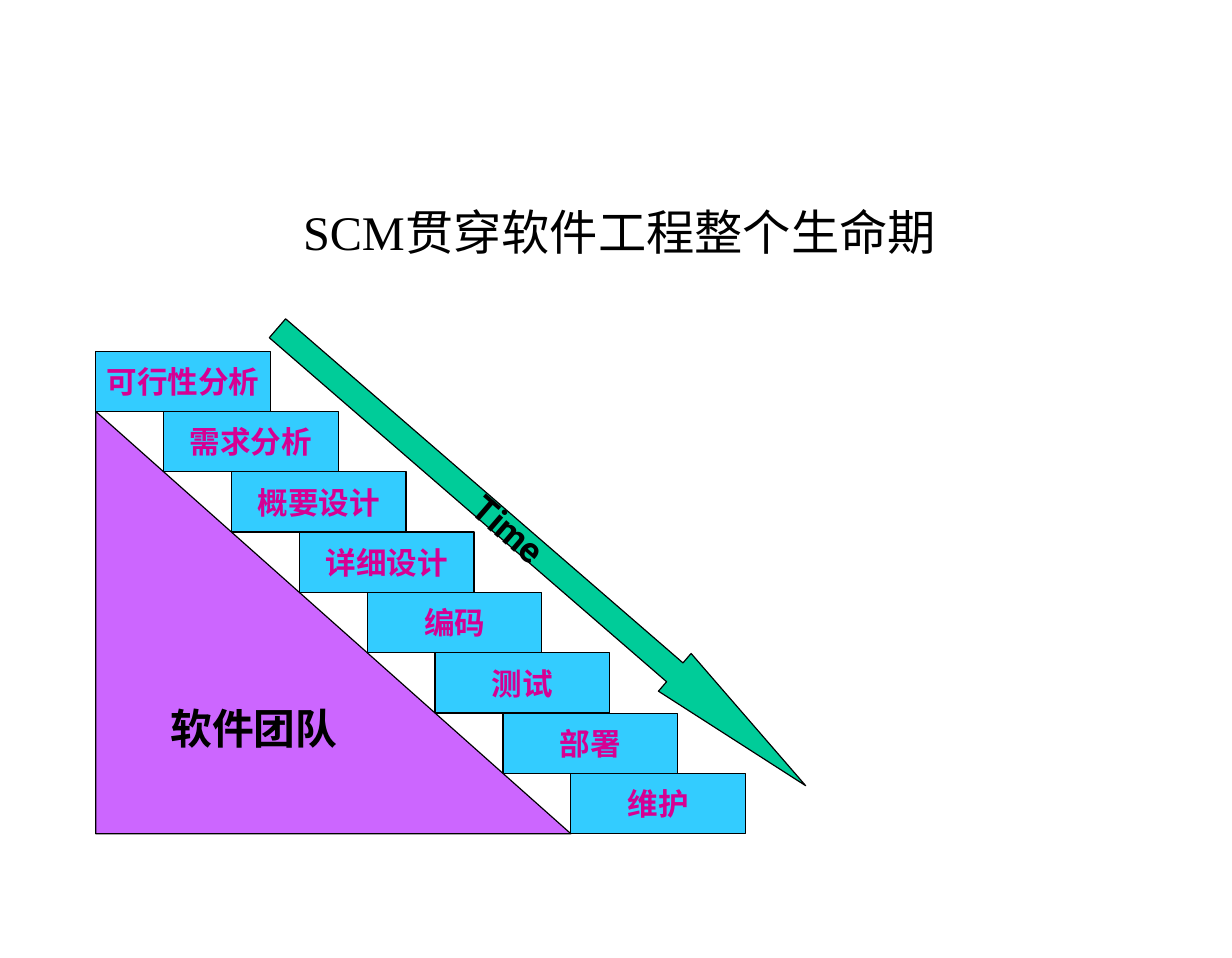
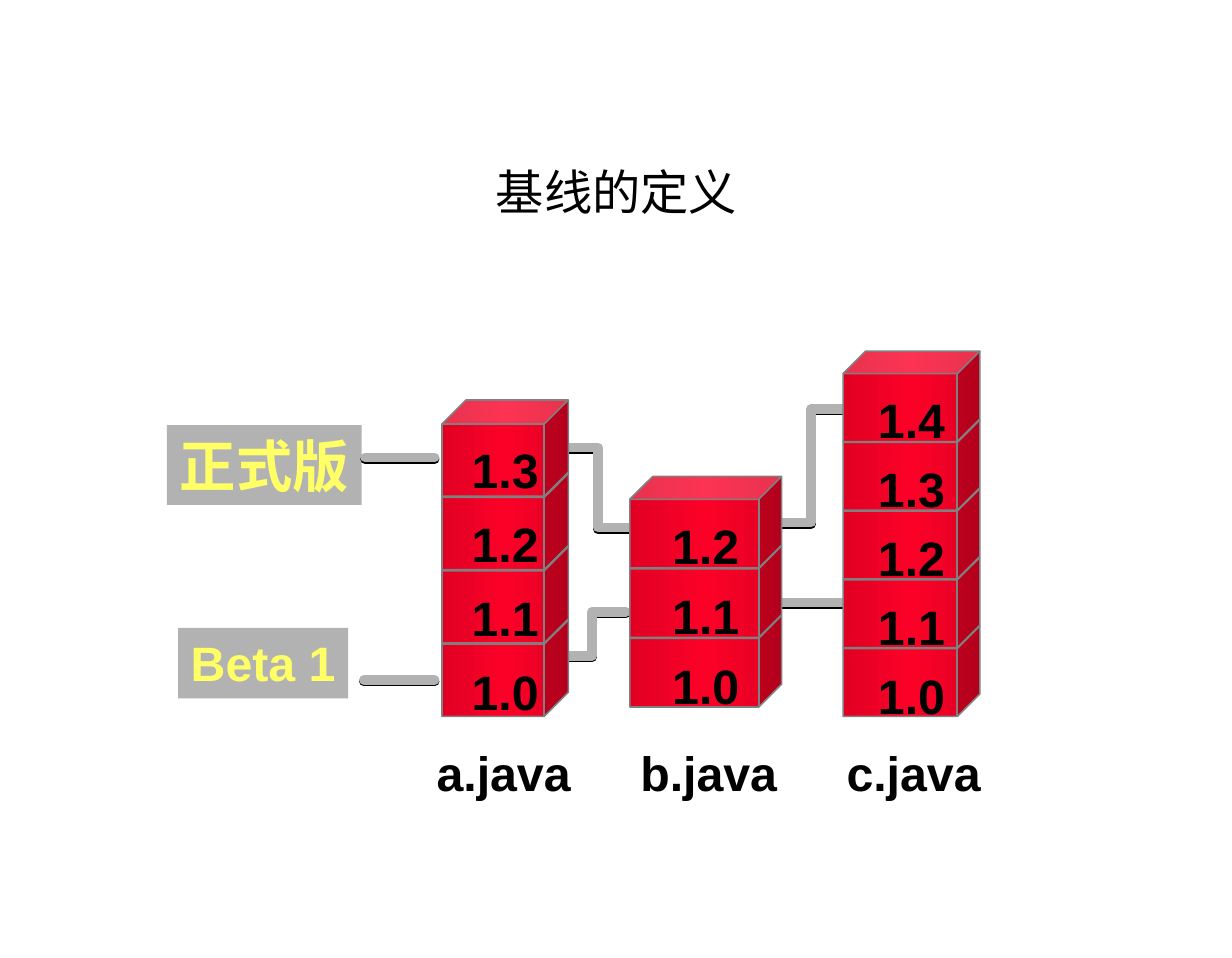
from copy import deepcopy

from lxml import etree
from pptx import Presentation
from pptx.dml.color import RGBColor
from pptx.enum.shapes import MSO_CONNECTOR, MSO_SHAPE
from pptx.enum.text import MSO_ANCHOR, MSO_AUTO_SIZE, PP_ALIGN
from pptx.oxml.ns import qn
from pptx.util import Pt

# Enum members
RECTANGLE = MSO_SHAPE.RECTANGLE
TRIANGLE = MSO_SHAPE.RIGHT_TRIANGLE
ARROW = MSO_SHAPE.RIGHT_ARROW
CUBE = MSO_SHAPE.CUBE
STRAIGHT = MSO_CONNECTOR.STRAIGHT
CENTER = PP_ALIGN.CENTER
TOP, MIDDLE = MSO_ANCHOR.TOP, MSO_ANCHOR.MIDDLE
FIXED = MSO_AUTO_SIZE.NONE

# Colours
BLACK = RGBColor(0x00, 0x00, 0x00)
SKY = RGBColor(0x33, 0xCC, 0xFF)
MAGENTA = RGBColor(0xD6, 0x00, 0x93)
VIOLET = RGBColor(0xCC, 0x66, 0xFF)
GREEN = RGBColor(0x00, 0xCC, 0x99)
GREY = RGBColor(0xB2, 0xB2, 0xB2)
EDGE_GREY = RGBColor(0x80, 0x80, 0x80)
YELLOW = RGBColor(0xFF, 0xFF, 0x66)
DARK_RED = RGBColor(0xE1, 0x00, 0x23)
RED = RGBColor(0xFC, 0x01, 0x28)

# Shared formats
SLIDE_SIZE = (765.4, 595.4)
TITLE_FONT = {"name": "Times New Roman", "size": Pt(30), "bold": False}
STEP_FONT = {"name": "Roboto", "size": Pt(19), "bold": True}
TEAM_FONT = {**STEP_FONT, "size": Pt(26)}
TIME_FONT = {**STEP_FONT, "size": Pt(22)}
VERSION_FONT = {"name": "Arial", "size": Pt(30), "bold": True}
RELEASE_FONT = {**VERSION_FONT, "size": Pt(35)}
FRAME = {
    "margin_left": Pt(7.2), "margin_right": Pt(7.2),
    "margin_top": Pt(3.6), "margin_bottom": Pt(3.6),
    "auto_size": FIXED,
}

# Slide 1: steps going down the stairs
STEPS = ["可行性分析", "需求分析", "概要设计", "详细设计", "编码", "测试", "部署", "维护"]
STEP_LEFT, STEP_TOP = 59.5, 218.2
STEP_WIDTH, STEP_HEIGHT = 108.5, 37.5
STEP_SHIFT = 42.17

# Slide 2: one stack of versions for each file
STACKS = [
    {"name": "a.java", "name_center": 312.9, "left": 274.6, "bottom_top": 385.4,
     "size": (78.5, 59.8), "pitch": 45.6,
     "label_drop": 22.8, "label_pitch": 46.1, "count": 4},
    {"name": "b.java", "name_center": 440.3, "left": 391.3, "bottom_top": 382.5,
     "size": (94.3, 56.9), "pitch": 43.2,
     "label_drop": 21.6, "label_pitch": 43.5, "count": 3},
    {"name": "c.java", "name_center": 567.6, "left": 523.8, "bottom_top": 389,
     "size": (85, 56.2), "pitch": 42.7,
     "label_drop": 21.4, "label_pitch": 42.8, "count": 5},
]
BASELINE_LINES = [
    [(226.8, 284.4), (270, 284.4)],
    [(391, 327.9), (371.5, 327.9), (371.5, 278.2), (349.2, 278.2)],
    [(483.8, 324.7), (504, 324.7), (504, 254.2), (527, 254.2)],
    [(226.1, 422.6), (270, 422.6)],
    [(349.2, 407.5), (367.9, 407.5), (367.9, 380.2), (388.8, 380.2)],
    [(481.7, 374.4), (524.2, 374.4)],
]


def write_text(shape, text, font, color, anchor=MIDDLE, wrap=False):
    frame = shape.text_frame
    layout = {**FRAME, "word_wrap": wrap, "vertical_anchor": anchor}
    for name, value in layout.items():
        setattr(frame, name, value)
    paragraph = frame.paragraphs[0]
    paragraph.alignment = CENTER
    run = paragraph.add_run()
    run.text = text
    for name, value in font.items():
        setattr(run.font, name, value)
    run.font.color.rgb = color


def add_titled_slide(presentation, title, left, top):
    slide = presentation.slides.add_slide(presentation.slide_layouts[5])
    shape = slide.shapes.title
    box = {"left": left, "top": top, "width": 650.9, "height": 66.2}
    for name, value in box.items():
        setattr(shape, name, Pt(value))
    write_text(shape, title, TITLE_FONT, BLACK, wrap=True)
    return slide


def add_block(slide, kind, box, fill=None, line=None, line_width=0.75):
    shape = slide.shapes.add_shape(kind, *map(Pt, box))
    shape.shadow.inherit = False
    if fill is not None:
        shape.fill.solid()
        shape.fill.fore_color.rgb = fill
    if line is None:
        shape.line.fill.background()
    else:
        shape.line.color.rgb = line
        shape.line.width = Pt(line_width)
    return shape


def add_label(slide, text, center, top, width):
    box = (center - width / 2, top, width, 43.9)
    shape = slide.shapes.add_textbox(*map(Pt, box))
    write_text(shape, text, VERSION_FONT, BLACK, TOP)


def add_cube(slide, box):
    cube = add_block(slide, CUBE, box, line=EDGE_GREY, line_width=1)
    cube.fill.gradient()
    cube.fill.gradient_angle = 180
    # The gradient starts with two stops and needs a third
    stop_elements = cube.element.spPr.find(qn("a:gradFill")).find(qn("a:gsLst"))
    stop_elements.append(deepcopy(stop_elements[-1]))
    colors = (DARK_RED, RED, DARK_RED)
    for stop, position, color in zip(cube.fill.gradient_stops, (0, 0.5, 1), colors):
        stop.position = position
        stop.color.rgb = color


def add_baseline_line(slide, points):
    corners = [(Pt(x), Pt(y)) for x, y in points]
    if len(corners) == 2:
        shape = slide.shapes.add_connector(STRAIGHT, *corners[0], *corners[1])
    else:
        builder = slide.shapes.build_freeform(*corners[0])
        builder.add_line_segments(corners[1:], close=False)
        shape = builder.convert_to_shape()
        shape.fill.background()
    shape.line.color.rgb = GREY
    shape.line.width = Pt(6)
    # Round ends and corners, and a thin black shadow below
    properties = shape.element.spPr
    outline = properties.find(qn("a:ln"))
    outline.set("cap", "rnd")
    etree.SubElement(outline, qn("a:round"))
    effects = etree.SubElement(properties, qn("a:effectLst"))
    shadow = etree.SubElement(effects, qn("a:outerShdw"), dist=str(Pt(1)),
                              dir="5400000", algn="ctr", rotWithShape="0")
    etree.SubElement(shadow, qn("a:srgbClr"), val=str(BLACK))


def add_stack(slide, stack):
    width, height = stack["size"]
    center = stack["left"] + width / 2
    for level in range(stack["count"]):
        top = stack["bottom_top"] - level * stack["pitch"]
        add_cube(slide, (stack["left"], top, width, height))
    for level in range(stack["count"]):
        top = stack["bottom_top"] + stack["label_drop"] - level * stack["label_pitch"]
        add_label(slide, f"1.{level}", center, top, 60)
    add_label(slide, stack["name"], stack["name_center"], 458.4, 110)


def build_life_cycle(presentation):
    slide = add_titled_slide(presentation, "SCM贯穿软件工程整个生命期", 59.5, 110.9)
    for index, step in enumerate(STEPS):
        box = (STEP_LEFT + index * STEP_SHIFT, STEP_TOP + index * STEP_HEIGHT,
               STEP_WIDTH, STEP_HEIGHT)
        shape = add_block(slide, RECTANGLE, box, SKY, BLACK)
        write_text(shape, step, STEP_FONT, MAGENTA)

    # Team below the stairs
    drops = len(STEPS) - 1
    box = (STEP_LEFT, STEP_TOP + STEP_HEIGHT, drops * STEP_SHIFT, drops * STEP_HEIGHT)
    team = add_block(slide, TRIANGLE, box, VIOLET, BLACK)
    write_text(team, "软件团队", TEAM_FONT, BLACK)

    # Time running along the stairs
    arrow = add_block(slide, ARROW, (119.4, 330.7, 434.2, 31), GREEN, BLACK)
    arrow.adjustments[0] = 0.5
    arrow.adjustments[1] = 3.47
    arrow.rotation = 40.9
    write_text(arrow, "Time", TIME_FONT, BLACK)


def build_baseline(presentation):
    slide = add_titled_slide(presentation, "基线的定义", 57.6, 85.7)
    # Releases
    for text, box, font in [
        ("正式版", (103.7, 264.2, 121, 49.7), RELEASE_FONT),
        ("Beta 1", (110.7, 390.2, 105.6, 43.9), VERSION_FONT),
    ]:
        release = add_block(slide, RECTANGLE, box, GREY)
        write_text(release, text, font, YELLOW, TOP)
    # Lines behind the stacks
    for points in BASELINE_LINES:
        add_baseline_line(slide, points)
    for stack in STACKS:
        add_stack(slide, stack)


def main():
    presentation = Presentation()
    presentation.slide_width, presentation.slide_height = map(Pt, SLIDE_SIZE)
    build_life_cycle(presentation)
    build_baseline(presentation)
    presentation.save("out.pptx")


if __name__ == "__main__":
    main()
